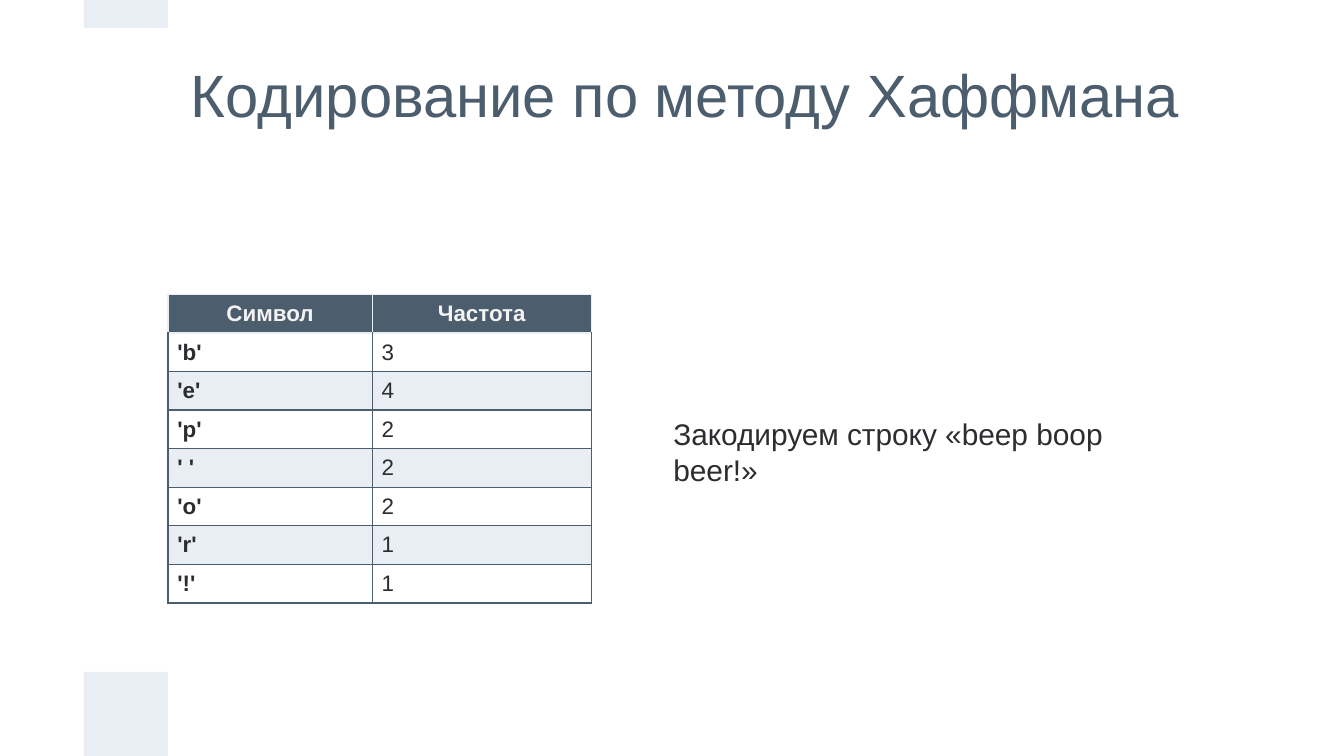
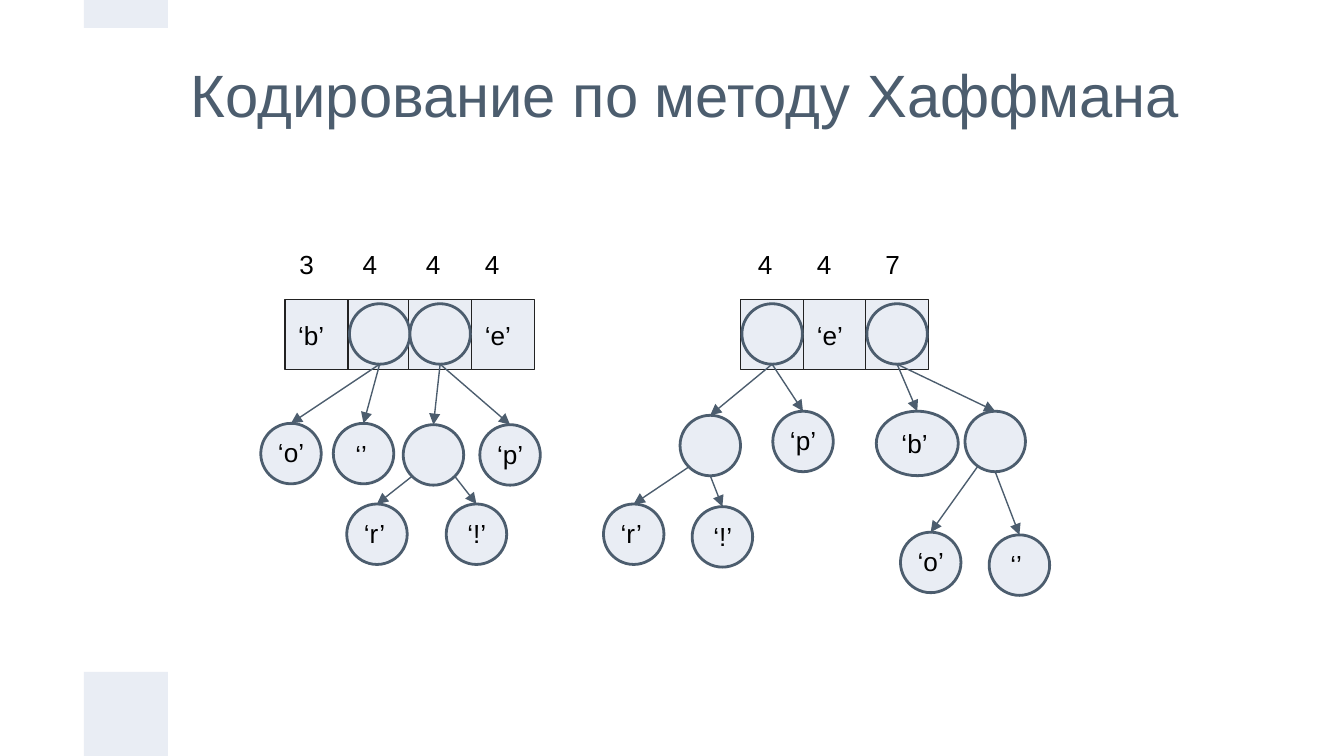
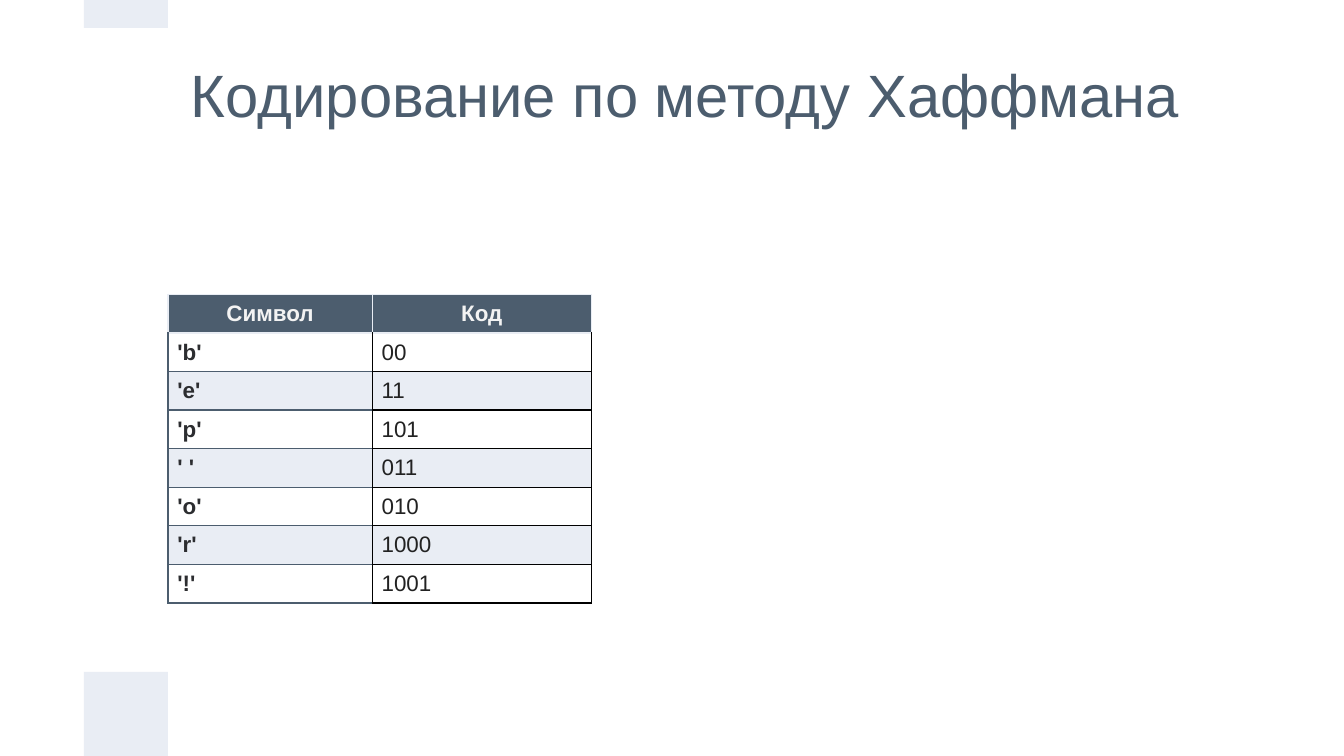
import math
from dataclasses import dataclass, field

from lxml import etree
from pptx import Presentation
from pptx.dml.color import RGBColor
from pptx.enum import shapes as kinds, text as txt
from pptx.oxml.ns import qn
from pptx.util import Inches, Pt

FONT = "Arial"
SLATE, PALE, INK = "4C5D6E", "E9EDF4", "2C2D30"
BLACK, DARK, OFF_WHITE = "000000", "222222", "F3F3F3"
SLIDE_W = 10
MODULE = SLIDE_W / 16  # the slide is 16 by 9 modules
TITLE = "Кодирование по методу Хаффмана"
SYMBOLS = ["'b'", "'e'", "'p'", "' '", "'o'", "'r'", "'!'"]
FREQUENCIES = ["3", "4", "2", "2", "2", "1", "1"]
CODES = ["00", "11", "101", "011", "010", "1000", "1001"]
CELL_W, CELL_H, QUEUE_TOP = 0.47, 0.52, 2.23
CIRCLE = 0.45


@dataclass
class Node:
    """Tree node; angle is where its edge leaves the parent, 90 being the bottom."""
    x: float
    y: float
    letter: str = ""
    children: list = field(default_factory=list)
    angle: float = 90
    w: float = CIRCLE
    h: float = CIRCLE
    letter_inside: bool = False


# Queue cells: left, left of the frequency, frequency, letter
QUEUES = [
    [(2.12, 2.13, "3", "‘b’"), (2.59, 2.6, "4", ""),
     (3.04, 3.07, "4", ""), (3.51, 3.51, "4", "‘e’")],
    [(5.51, 5.54, "4", ""), (5.98, 5.98, "4", "‘e’"), (6.44, 6.49, "7", "")],
]
TREES = [
    Node(2.6, 2.26, children=[
        Node(1.94, 3.15, "‘o’"),
        Node(2.48, 3.15, "‘’", letter_inside=True)]),
    Node(3.05, 2.26, children=[
        Node(3, 3.16, children=[
            Node(2.58, 3.75, "‘r’", angle=135),
            Node(3.32, 3.75, "‘!’", angle=45)]),
        Node(3.57, 3.16, "‘p’")]),
    Node(5.52, 2.26, children=[
        Node(5.06, 3.09, children=[
            Node(4.49, 3.75, "‘r’", angle=135),
            Node(5.15, 3.77, "‘!’")]),
        Node(5.75, 3.06, "‘p’")]),
    Node(6.45, 2.26, children=[
        Node(6.52, 3.06, "‘b’", w=0.61, h=0.48, letter_inside=True),
        Node(7.18, 3.06, children=[
            Node(6.7, 3.96, "‘o’", angle=125),
            Node(7.36, 3.98, "‘’")])]),
]


def rgb(color):
    return RGBColor.from_string(color)


def box(*lengths):
    return [Inches(length) for length in lengths]


def write(frame, words, size, color, anchor=txt.MSO_ANCHOR.MIDDLE, inset=(0.1, 0.1),
          align=txt.PP_ALIGN.LEFT, bold=False):
    """Fill a text frame or table cell with one formatted paragraph."""
    frame.text = words
    frame.vertical_anchor = anchor
    frame.margin_left = frame.margin_right = Inches(inset[0])
    frame.margin_top = frame.margin_bottom = Inches(inset[1])
    # A cell has a text frame of its own; a shape's frame is used directly
    body = getattr(frame, "text_frame", frame)
    paragraph = body.paragraphs[0]
    paragraph.alignment = align
    font = paragraph.font
    font.name, font.size, font.bold = FONT, Pt(size), bold
    font.color.rgb = rgb(color)
    return paragraph


def place(placeholder, bounds, words, size, color):
    placeholder.left, placeholder.top, placeholder.width, placeholder.height = box(*bounds)
    paragraph = write(placeholder.text_frame, words, size, color)
    placeholder.text_frame.word_wrap = True
    placeholder.text_frame.auto_size = txt.MSO_AUTO_SIZE.NONE
    return paragraph


def add_titled_slide(prs, layout):
    slide = prs.slides.add_slide(prs.slide_layouts[layout])
    place(slide.shapes.title, (1.32, 0.07, 8.04, 1.25), TITLE, 32, SLATE)
    return slide


def add_filled(slide, kind, bounds, line=None, line_width=0.75):
    shape = slide.shapes.add_shape(kind, *box(*bounds))
    shape.shadow.inherit = False
    shape.fill.solid()
    shape.fill.fore_color.rgb = rgb(PALE)
    if line:
        shape.line.color.rgb = rgb(line)
        shape.line.width = Pt(line_width)
    else:
        shape.line.fill.background()
    return shape


def add_master_bands(prs, slide):
    """Draw the bands on a slide, then move them behind the master's placeholders."""
    for number, (top, height) in enumerate([(8 * MODULE, MODULE), (0, MODULE / 3)]):
        band = add_filled(slide, kinds.MSO_SHAPE.RECTANGLE, (MODULE, top, MODULE, height))
        band.element.nvSpPr.cNvPr.set("id", str(20 + number))
        prs.slide_master.shapes.element.insert(2 + number, band.element)


def set_borders(cell, left, right, top, bottom):
    properties = cell._tc.get_or_add_tcPr()
    sides = zip(("lnL", "lnR", "lnT", "lnB"), (left, right, top, bottom))
    for position, (side, color) in enumerate(sides):
        line = etree.Element(qn(f"a:{side}"), w=str(Pt(0.75)))
        fill = etree.SubElement(line, qn("a:solidFill"))
        etree.SubElement(fill, qn("a:srgbClr"), val=color)
        properties.insert(position, line)


def add_symbol_table(slide, heading, values, value_color=INK, value_line=SLATE):
    rows = [("Символ", heading), *zip(SYMBOLS, values)]
    table = slide.shapes.add_table(len(rows), 2, *box(1.25, 2.19, 3.15, 2.4)).table
    table.first_row = table.horz_banding = False
    for column, width in zip(table.columns, (1.52, 1.63)):
        column.width = Inches(width)
    for r, row in enumerate(rows):
        table.rows[r].height = Inches(0.28)
        for c, words in enumerate(row):
            cell = table.cell(r, c)
            header = r == 0
            color = OFF_WHITE if header else (INK, value_color)[c]
            align = txt.PP_ALIGN.CENTER if header else txt.PP_ALIGN.LEFT
            write(cell, words, 12, color, txt.MSO_ANCHOR.TOP, (0.07, 0.05),
                  align, header or c == 0)
            if header or r % 2 == 0:
                cell.fill.solid()
                cell.fill.fore_color.rgb = rgb(SLATE if header else PALE)
            else:
                cell.fill.background()
            if header:
                set_borders(cell, PALE, PALE, PALE, PALE)
            else:
                own = (SLATE, value_line)[c]
                set_borders(cell, own, value_line, PALE if r == 1 else own, own)


def add_label(slide, x, y, height, words, anchor):
    label = slide.shapes.add_textbox(*box(x, y, CELL_W, height))
    write(label.text_frame, words, 14, BLACK, anchor)
    label.text_frame.word_wrap = True


def add_queue(slide, cells):
    for x, frequency_x, frequency, letter in cells:
        cell = add_filled(slide, kinds.MSO_SHAPE.RECTANGLE,
                          (x, QUEUE_TOP, CELL_W, CELL_H), DARK)
        if letter:
            write(cell.text_frame, letter, 14, BLACK)
        add_label(slide, frequency_x, 1.78, 0.37, frequency, txt.MSO_ANCHOR.MIDDLE)


def add_edge(slide, parent, child, child_circle):
    angle = math.radians(child.angle)
    start_x = parent.x + parent.w / 2 * (1 + math.cos(angle))
    start_y = parent.y + parent.h / 2 * (1 + math.sin(angle))
    edge = slide.shapes.add_connector(
        kinds.MSO_CONNECTOR.STRAIGHT,
        *box(start_x, start_y, child.x + child.w / 2, child.y))
    edge.end_connect(child_circle, 0)
    edge.line.color.rgb = rgb(SLATE)
    edge.line.width = Pt(0.75)
    properties = edge.element.spPr
    etree.SubElement(properties.find(qn("a:ln")), qn("a:tailEnd"), type="triangle")
    etree.SubElement(properties, qn("a:effectLst"))


def add_tree(slide, node):
    """Draw a node and everything below it; return the node's circle."""
    circle = add_filled(slide, kinds.MSO_SHAPE.OVAL,
                        (node.x, node.y, node.w, node.h), SLATE, 1.5)
    if node.letter_inside:
        write(circle.text_frame, node.letter, 14, BLACK)
    elif node.letter:
        indent = 0.06 if node.letter in ("‘!’", "‘’") else 0.03
        add_label(slide, node.x + indent, node.y, 0.44, node.letter, txt.MSO_ANCHOR.TOP)
    for child in node.children:
        add_edge(slide, node, child, add_tree(slide, child))
    return circle


def add_task(slide):
    paragraph = place(slide.placeholders[1], (4.91, 2.17, 3.83, 2.38),
                      "Закодируем строку «beep boop beer!»", 16, INK)
    paragraph.space_before = paragraph.space_after = Pt(10)
    properties = paragraph._p.get_or_add_pPr()
    properties.set("marL", "0")
    properties.set("indent", "0")
    properties.find(qn("a:defRPr")).addprevious(etree.Element(qn("a:buNone")))


def main():
    prs = Presentation()
    prs.slide_width, prs.slide_height = box(SLIDE_W, 9 * MODULE)

    frequency_slide = add_titled_slide(prs, 1)
    add_master_bands(prs, frequency_slide)
    add_task(frequency_slide)
    add_symbol_table(frequency_slide, "Частота", FREQUENCIES)

    tree_slide = add_titled_slide(prs, 5)
    for queue in QUEUES:
        add_queue(tree_slide, queue)
    for tree in TREES:
        add_tree(tree_slide, tree)

    code_slide = add_titled_slide(prs, 5)
    add_symbol_table(code_slide, "Код", CODES, DARK, BLACK)

    prs.save("out.pptx")


if __name__ == "__main__":
    main()
